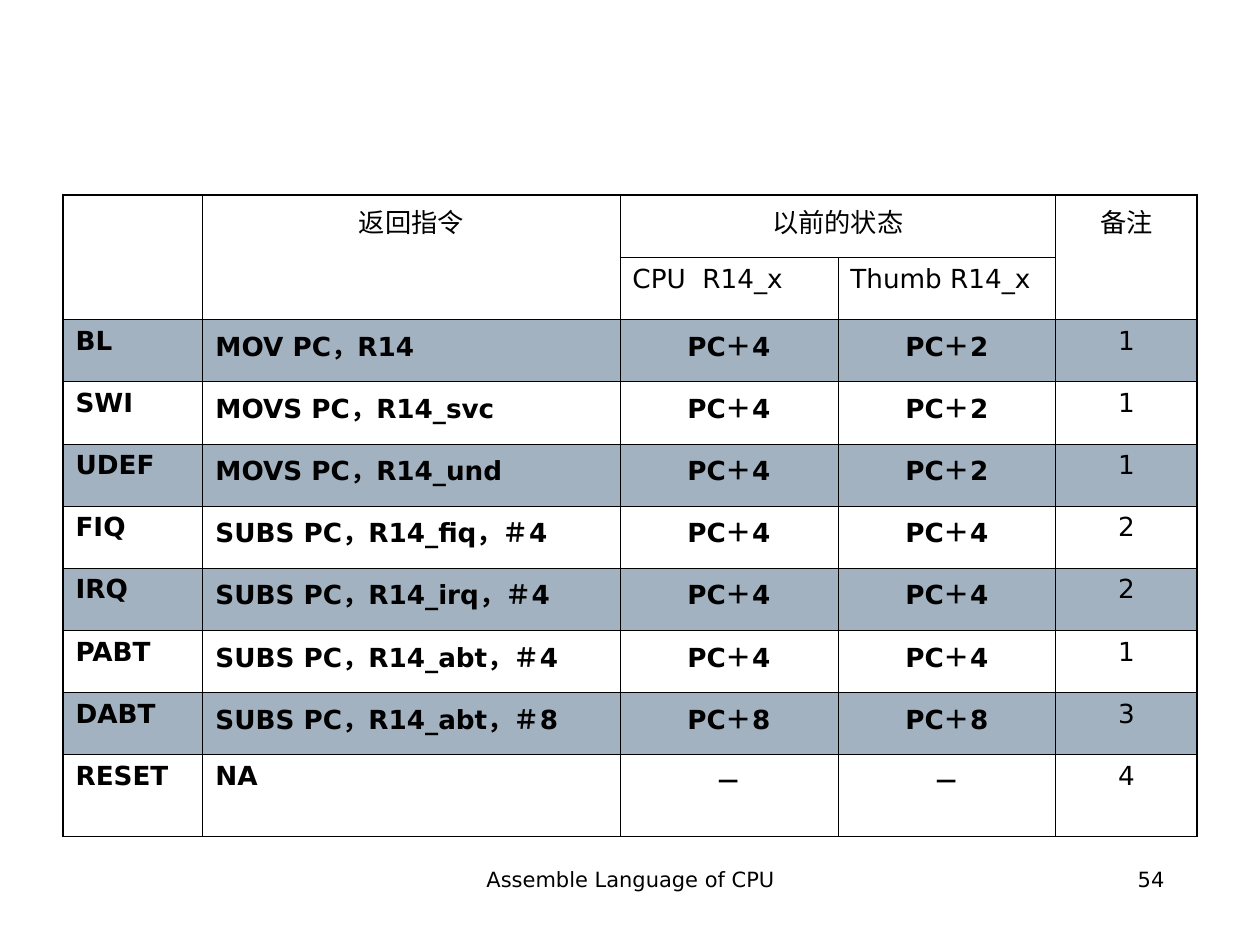
from lxml.etree import SubElement
from pptx import Presentation
from pptx.dml.color import RGBColor
from pptx.enum.text import PP_ALIGN
from pptx.oxml.ns import qn
from pptx.util import Inches, Pt

FONT = "DejaVu Sans"
BLACK = "000000"
BAND = "A3B2C1"
THIN, THICK = 0.45, 1.08

TABLE_LEFT, TABLE_TOP, TABLE_WIDTH, TABLE_HEIGHT = 0.5, 1.55, 9, 5.09
COLUMN_WIDTHS = [1.11, 3.31, 1.73, 1.73, 1.12]
LAST_ROW_HEIGHT = 0.65
HEADER_ROWS = 2
HEADER_MERGES = [((0, 0), (1, 0)), ((0, 1), (1, 1)), ((0, 2), (0, 3)), ((0, 4), (1, 4))]

ROWS = [
    ["", "返回指令", "以前的状态", "", "备注"],
    ["", "", "CPU  R14_x", "Thumb R14_x", ""],
    ["BL", "MOV PC，R14", "PC＋4", "PC＋2", "1"],
    ["SWI", "MOVS PC，R14_svc", "PC＋4", "PC＋2", "1"],
    ["UDEF", "MOVS PC，R14_und", "PC＋4", "PC＋2", "1"],
    ["FIQ", "SUBS PC，R14_fiq，＃4", "PC＋4", "PC＋4", "2"],
    ["IRQ", "SUBS PC，R14_irq，＃4", "PC＋4", "PC＋4", "2"],
    ["PABT", "SUBS PC，R14_abt，＃4", "PC＋4", "PC＋4", "1"],
    ["DABT", "SUBS PC，R14_abt，＃8", "PC＋8", "PC＋8", "3"],
    ["RESET", "NA", "－", "－", "4"],
]


def color(hex_code):
    return RGBColor.from_string(hex_code)


def write(frame, text, size, align, bold=False):
    para = frame.paragraphs[0]
    para.text = text
    para.alignment = align
    para.font.name = FONT
    para.font.size = Pt(size)
    para.font.bold = bold
    para.font.color.rgb = color(BLACK)


def add_footer(page, left, width, text, align):
    box = page.shapes.add_textbox(Inches(left), Inches(6.83), Inches(width), Inches(0.52))
    box.text_frame.word_wrap = True
    write(box.text_frame, text, 12, align)


def set_borders(cell, outer_edges):
    """Draw all four cell edges, thick where they lie on the table's outline."""
    properties = cell._tc.get_or_add_tcPr()
    for edge in "LRTB":
        width = THICK if edge in outer_edges else THIN
        line = SubElement(properties, qn(f"a:ln{edge}"), w=str(Pt(width)))
        fill = SubElement(line, qn("a:solidFill"))
        SubElement(fill, qn("a:srgbClr"), val=BLACK)


def outer_edges_of(row, column):
    edges = {
        "L": column == 0,
        "R": column == len(COLUMN_WIDTHS) - 1,
        "T": row == 0,
        "B": row == len(ROWS) - 1,
    }
    return [edge for edge, is_outer in edges.items() if is_outer]


def alignment_of(row, column):
    left_aligned = row == 1 or (row >= HEADER_ROWS and column < 2)
    return PP_ALIGN.LEFT if left_aligned else PP_ALIGN.CENTER


def add_return_table(page):
    table = page.shapes.add_table(
        len(ROWS), len(COLUMN_WIDTHS), Inches(TABLE_LEFT), Inches(TABLE_TOP),
        Inches(TABLE_WIDTH), Inches(TABLE_HEIGHT),
    ).table
    table.first_row = table.horz_banding = False
    for column, width in zip(table.columns, COLUMN_WIDTHS):
        column.width = Inches(width)
    for row in table.rows:
        row.height = Inches((TABLE_HEIGHT - LAST_ROW_HEIGHT) / (len(ROWS) - 1))
    table.rows[len(ROWS) - 1].height = Inches(LAST_ROW_HEIGHT)

    for row, texts in enumerate(ROWS):
        in_body = row >= HEADER_ROWS
        for column, text in enumerate(texts):
            cell = table.cell(row, column)
            set_borders(cell, outer_edges_of(row, column))
            if in_body and row % 2 == 0 and row < len(ROWS) - 1:
                cell.fill.solid()
                cell.fill.fore_color.rgb = color(BAND)
            else:
                cell.fill.background()
            is_note = column == len(COLUMN_WIDTHS) - 1
            write(cell.text_frame, text, 15, alignment_of(row, column), in_body and not is_note)

    for first, last in HEADER_MERGES:
        table.cell(*first).merge(table.cell(*last))


def main():
    deck = Presentation()
    deck.slide_width, deck.slide_height = Inches(10), Inches(7.5)
    page = deck.slides.add_slide(deck.slide_layouts[6])
    add_footer(page, 3.42, 3.17, "Assemble Language of CPU", PP_ALIGN.CENTER)
    add_footer(page, 7.17, 2.17, "54", PP_ALIGN.RIGHT)
    add_return_table(page)
    deck.save("out.pptx")


if __name__ == "__main__":
    main()
